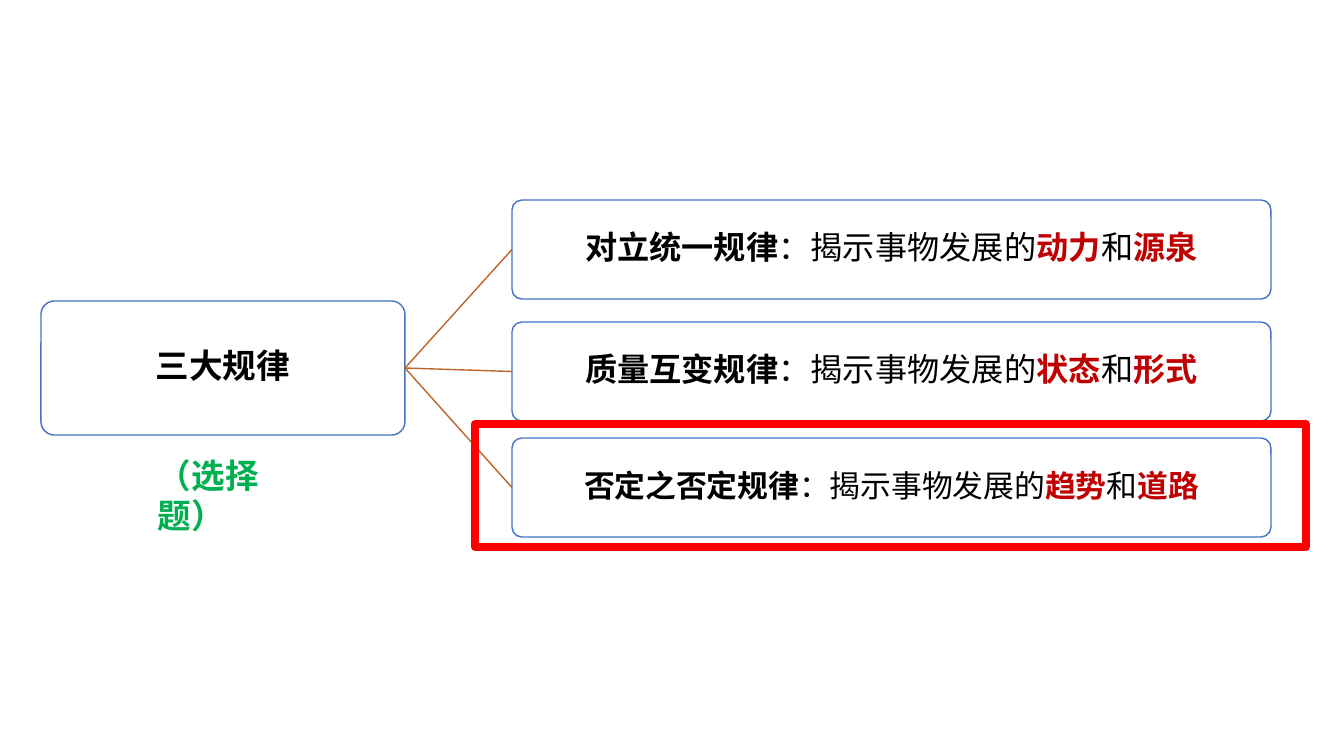
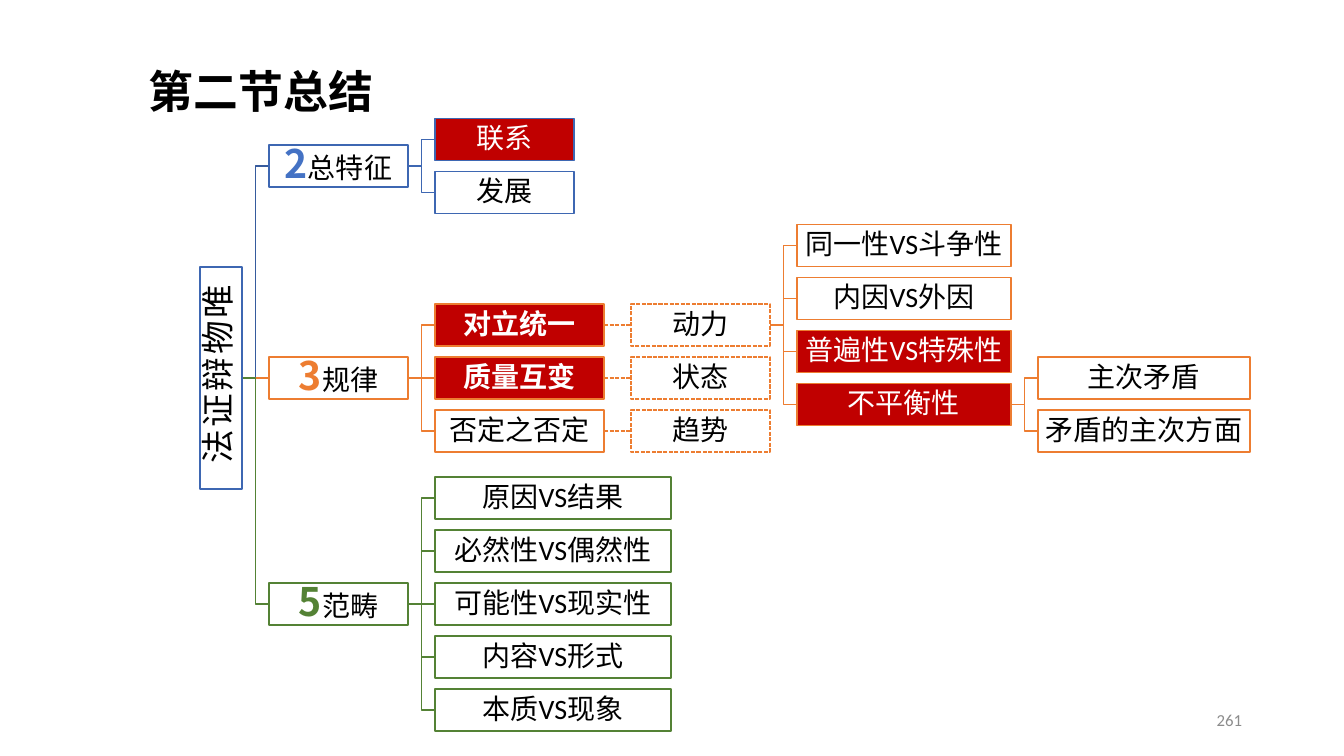
from dataclasses import dataclass, field

from lxml.etree import SubElement
from pptx import Presentation
from pptx.dml.color import RGBColor
from pptx.enum.dml import MSO_LINE
from pptx.enum.shapes import MSO_CONNECTOR, MSO_SHAPE
from pptx.enum.text import MSO_ANCHOR, PP_ALIGN
from pptx.oxml.ns import qn
from pptx.util import Emu, Pt

COLORS = {
    "black": "000000", "white": "FFFFFF", "grey": "8C8C8C",
    "blue": "4472C4", "edge": "3E67B2", "trunk": "365B9D",
    "orange": "ED7D31", "rust": "BE6427", "green": "548235",
    "crimson": "C00000", "red": "FF0000", "leaf": "00B050",
}
CJK, LATIN, ARIAL = "Noto Sans CJK SC", "Calibri", "Arial"
SCALE = 914400 / 100.8  # EMU in one px
NODE_H, ROW, GAP = 42, 53, 27  # tree box height, row pitch, column gap


def px(n):
    return Emu(round(n * SCALE))


def rgb(name):
    return RGBColor.from_string(COLORS[name])


# Shared building parts
def run(text, size, color="black", bold=False, font=CJK):
    return text, size, color, bold, font


def write(sp, runs, align=PP_ALIGN.LEFT, anchor=MSO_ANCHOR.MIDDLE,
          spacing=0.9, inset=None):
    tf = sp.text_frame
    tf.word_wrap = True
    tf.vertical_anchor = anchor
    if inset is not None:
        tf.margin_left = tf.margin_right = px(inset)
        tf.margin_top = tf.margin_bottom = px(inset)
    p = tf.paragraphs[0]
    p.alignment = align
    p.line_spacing = spacing
    for text, size, color, bold, font in runs:
        r = p.add_run()
        r.text = text
        r.font.size = Pt(size)
        r.font.bold = bold
        r.font.name = font
        r.font.color.rgb = rgb(color)
        SubElement(r.font._element, qn("a:ea"), typeface=CJK)


def add_text(s, box, runs, **style):
    sp = s.shapes.add_textbox(*map(px, box))
    write(sp, runs, **style)


def add_box(s, kind, box, line, fill=None, weight=1, dash=False):
    sp = s.shapes.add_shape(kind, *map(px, box))
    sp.shadow.inherit = False
    if fill:
        sp.fill.solid()
        sp.fill.fore_color.rgb = rgb(fill)
    else:
        sp.fill.background()
    sp.line.color.rgb = rgb(line)
    sp.line.width = Pt(weight)
    if dash:
        sp.line.dash_style = MSO_LINE.SQUARE_DOT
    return sp


def add_link(s, start, end, color, elbow=False, dash=False):
    bent = elbow and start[1] != end[1]
    kind = MSO_CONNECTOR.ELBOW if bent else MSO_CONNECTOR.STRAIGHT
    c = s.shapes.add_connector(kind, *map(px, start + end))
    c.line.color.rgb = rgb(color)
    c.line.width = Pt(1)
    if dash:
        c.line.dash_style = MSO_LINE.SQUARE_DOT
    SubElement(c._element.spPr, qn("a:effectLst"))


# Slide 1: three laws
LAWS = [
    (200, 23, "对立统一规律", "动力", "源泉"),
    (322, 23, "质量互变规律", "状态", "形式"),
    (438, 22, "否定之否定规律", "趋势", "道路"),
]


def rounded_card(s, box, runs):
    sp = add_box(s, MSO_SHAPE.ROUNDED_RECTANGLE, box, "blue", "white")
    sp.adjustments[0] = 0.1
    write(sp, runs, PP_ALIGN.CENTER, inset=2)


def law_map(s, box):
    x, y, w, h = box
    rounded_card(s, box, [run("三大规律", 24, bold=True)])
    law_x, law_w, law_h = x + 471, 759, 99
    for top, size, name, first, second in LAWS:
        add_link(s, (x + w, y + h / 2), (law_x, top + law_h / 2), "rust")
        rounded_card(s, (law_x, top, law_w, law_h), [
            run(name, size, bold=True),
            run("：揭示事物发展的", size),
            run(first, size, "crimson", True),
            run("和", size),
            run(second, size, "crimson", True),
        ])
    # Hint under the root, frame around the last law
    add_text(s, (x + 107, y + 149, 174, 50),
             [run("（选择题）", 24, "leaf", True)],
             anchor=MSO_ANCHOR.TOP, spacing=1.0)
    add_box(s, MSO_SHAPE.RECTANGLE,
            (law_x - 37, LAWS[-1][0] - 14, 831, 123), "red", weight=5.5)


# Slide 2: summary tree
@dataclass
class Node:
    text: str
    width: int
    hot: bool = False
    bold: bool = False
    dash: bool = False
    count: str = ""
    kids: list = field(default_factory=list)


def nodes(width, *texts):
    return [Node(t, width) for t in texts]


def force(text, *kids):
    return [Node(text, 139, dash=True, kids=list(kids))]


IMBALANCE = Node("不平衡性", 214, hot=True,
                 kids=nodes(212, "主次矛盾", "矛盾的主次方面"))
DRIVERS = [*nodes(214, "同一性VS斗争性", "内因VS外因"),
           Node("普遍性VS特殊性", 214, hot=True), IMBALANCE]
FEATURES = Node("总特征", 139, count="2", kids=[
    Node("联系", 139, hot=True), Node("发展", 139)])
RULES = Node("规律", 139, count="3", kids=[
    Node("对立统一", 169, hot=True, bold=True, kids=force("动力", *DRIVERS)),
    Node("质量互变", 169, hot=True, bold=True, kids=force("状态")),
    Node("否定之否定", 169, kids=force("趋势"))])
CATEGORIES = Node("范畴", 139, count="5", kids=nodes(
    236, "原因VS结果", "必然性VS偶然性", "可能性VS现实性", "内容VS形式", "本质VS现象"))
# Branch, centre relative to the root, edge, number and trunk colours
BRANCHES = [
    (FEATURES, -212, "edge", "blue", "trunk"),
    (RULES, 0, "orange", "orange", "orange"),
    (CATEGORIES, 226, "green", "green", "green"),
]


def branch(s, node, x, cy, edge, accent):
    """Draw a node at left x and centre cy, its children centred beside it."""
    right = x + node.width
    top = cy - ROW * (len(node.kids) - 1) / 2
    for i, kid in enumerate(node.kids):
        kid_y = top + i * ROW
        add_link(s, (right, cy), (right + GAP, kid_y), edge, True, kid.dash)
        branch(s, kid, right + GAP, kid_y, edge, accent)
    sp = add_box(s, MSO_SHAPE.RECTANGLE,
                 (x, cy - NODE_H / 2, node.width, NODE_H), edge,
                 "crimson" if node.hot else "white", dash=node.dash)
    runs = [run(node.text, 20, "white" if node.hot else "black", node.bold,
                CJK if node.count else LATIN)]
    if node.count:
        runs.insert(0, run(node.count, 28, accent, True))
    write(sp, runs, PP_ALIGN.CENTER, inset=1)


def summary_tree(s, box):
    x, y, w, h = box
    cy = y + h / 2
    for node, dy, edge, accent, trunk in BRANCHES:
        add_link(s, (x + w, cy), (x + w + GAP, cy + dy), trunk, True)
        branch(s, node, x + w + GAP, cy + dy, edge, accent)
    # Root: a wide box turned upright
    sp = add_box(s, MSO_SHAPE.RECTANGLE,
                 (x + w / 2 - h / 2, cy - w / 2, h, w), "edge", "white")
    sp.rotation = 270
    write(sp, [run("唯物辩证法", 24, font=ARIAL)], PP_ALIGN.CENTER, inset=1)
    sp.text_frame._txBody.bodyPr.set("vert", "eaVert")


def title(s, text):
    add_text(s, (139, 58, 1159, 72), [run(text, 32, bold=True, font=LATIN)])


def page_number(s, number):
    add_text(s, (949, 700, 303, 40), [run(number, 12, "grey", font=LATIN)],
             align=PP_ALIGN.RIGHT, spacing=1.0)


def main():
    prs = Presentation()
    prs.slide_width, prs.slide_height = px(1344), px(756)
    blank = prs.slide_layouts[6]

    law_map(prs.slides.add_slide(blank), (41, 301, 364, 134))

    s = prs.slides.add_slide(blank)
    title(s, "第二节总结")
    page_number(s, "261")
    summary_tree(s, (200, 267, NODE_H, 222))

    prs.save("out.pptx")


if __name__ == "__main__":
    main()
